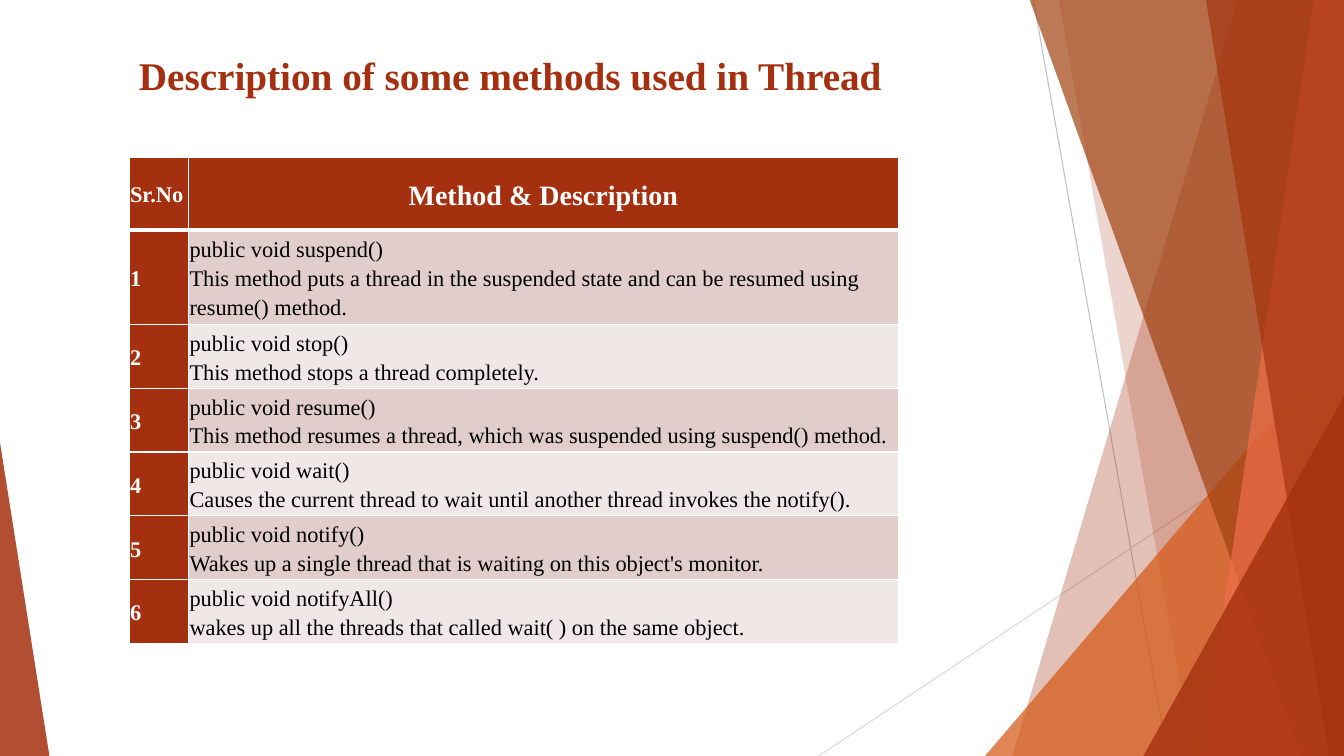
from lxml.etree import SubElement
from pptx import Presentation
from pptx.dml.color import RGBColor
from pptx.enum.shapes import MSO_CONNECTOR, MSO_SHAPE
from pptx.enum.text import MSO_ANCHOR, PP_ALIGN
from pptx.oxml import parse_xml
from pptx.oxml.ns import nsdecls, qn
from pptx.util import Inches, Pt

FONT = "Times New Roman"
COLORS = {
    "red": "A5300F", "brown": "A04210", "orange": "D55816", "coral": "EE6E4A",
    "white": "FFFFFF", "black": "000000", "band_dark": "E1CDCC",
    "band_light": "F0E8E7", "line_dark": "BFBFBF", "line_light": "D9D9D9",
}
TITLE = "Description of some methods used in Thread"
HEADER = ("Sr.No", "Method & Description")
METHODS = [
    ("public void suspend()", "This method puts a thread in the suspended state "
     "and can be resumed using resume() method."),
    ("public void stop()", "This method stops a thread completely."),
    ("public void resume()", "This method resumes a thread, which was suspended "
     "using suspend() method."),
    ("public void wait()", "Causes the current thread to wait until another "
     "thread invokes the notify()."),
    ("public void notify()", "Wakes up a single thread that is waiting on this "
     "object's monitor."),
    ("public void notifyAll()", "wakes up all the threads that called wait( ) on "
     "the same object."),
]
WIDTH, HEIGHT, TOP = 13.33, 7.5, -0.01
TABLE_LEFT, TABLE_TOP = 1.28, 1.56
COLUMN_WIDTHS = (0.59, 7.04)
ROW_HEIGHTS = [0.72, 0.87] + [0.59] * 5

# Lines: start, end, color
LINES = [((10.25, 0), (11.58, HEIGHT), "line_dark"),
         ((WIDTH, 4.03), (8.12, HEIGHT), "line_light")]
# Facets, back to front. A band runs from its top and bottom x to the right edge;
# a triangle has left, top, width, height and the place of its apex.
FACETS = [
    ("band", (12.28, 10.04), "red", 30),
    ("band", (10.5, 11.83), "red", 20),
    ("triangle", (9.77, 3.33, 3.56, 4.17, 1), "orange", 72),
    ("band", (10.21, 12.91), "brown", 70),
    ("band", (13.03, 11.92), "coral", 70),
    ("band", (11.96, 13.18), "red", 65),
    ("triangle", (11.34, 3.93, 1.99, 3.57, 1), "red", 80),
    ("triangle", (0, 4.39, 0.49, 3.11, 0), "red", 85),
]


def rgb(name):
    """Return the named color."""
    return RGBColor.from_string(COLORS[name])


def add_line(shapes, start, end, color):
    """Draw a thin line without a shadow."""
    ends = [Inches(value) for value in (*start, *end)]
    line = shapes.add_connector(MSO_CONNECTOR.STRAIGHT, *ends)
    line.line.color.rgb = rgb(color)
    line.line.width = Pt(0.75)
    SubElement(line._element.spPr, qn("a:effectLst"))


def add_facet(shapes, kind, geometry, color, opacity):
    """Draw a translucent band or triangle."""
    if kind == "band":
        top_x, bottom_x = geometry
        corners = [(Inches(x), Inches(y)) for x, y in (
            (top_x, TOP), (WIDTH, TOP), (WIDTH, HEIGHT), (bottom_x, HEIGHT))]
        builder = shapes.build_freeform(*corners[0])
        builder.add_line_segments(corners[1:], close=True)
        shape = builder.convert_to_shape()
    else:
        *box, apex = geometry
        shape = shapes.add_shape(MSO_SHAPE.ISOSCELES_TRIANGLE,
                                 *[Inches(value) for value in box])
        shape.adjustments[0] = apex
    shape.shadow.inherit = False
    shape.line.fill.background()
    shape.fill.solid()
    shape.fill.fore_color.rgb = rgb(color)
    fill_color = shape._element.spPr.find(qn("a:solidFill"))[0]
    SubElement(fill_color, qn("a:alpha"), val=str(opacity * 1000))


def add_run(paragraph, text, size, color, bold):
    """Add one formatted run."""
    run = paragraph.add_run()
    run.text = text
    run.font.name = FONT
    run.font.size = Pt(size)
    run.font.bold = bold
    run.font.color.rgb = rgb(color)


def add_title(shapes):
    """Add the slide title."""
    box = shapes.add_textbox(Inches(1.28), Inches(0.43), Inches(8.83), Inches(0.62))
    frame = box.text_frame
    frame.word_wrap = True
    frame.vertical_anchor = MSO_ANCHOR.MIDDLE
    add_run(frame.paragraphs[0], TITLE, 28, "red", True)


def set_borders(cell, top, bottom):
    """Give a cell white borders; the widths are in points."""
    widths = {"lnL": 1, "lnR": 1, "lnT": top, "lnB": bottom}
    for index, (side, width) in enumerate(widths.items()):
        cell._tc.get_or_add_tcPr().insert(index, parse_xml(
            f'<a:{side} {nsdecls("a")} w="{Pt(width)}"><a:solidFill>'
            f'<a:srgbClr val="{COLORS["white"]}"/></a:solidFill></a:{side}>'))


def fill_cell(cell, texts, fill, size=16, color="white", bold=True,
              align=PP_ALIGN.LEFT):
    """Fill a cell with one paragraph per text."""
    cell.margin_left = cell.margin_right = Inches(0.01)
    cell.margin_top = cell.margin_bottom = Inches(0.01)
    cell.vertical_anchor = MSO_ANCHOR.MIDDLE
    cell.fill.solid()
    cell.fill.fore_color.rgb = rgb(fill)
    frame = cell.text_frame
    for index, text in enumerate(texts):
        paragraph = frame.add_paragraph() if index else frame.paragraphs[0]
        paragraph.alignment = align
        paragraph.line_spacing = 1.15
        add_run(paragraph, text, size, color, bold)


def add_method_table(shapes):
    """Add the table of thread methods."""
    table = shapes.add_table(
        len(METHODS) + 1, len(HEADER), Inches(TABLE_LEFT), Inches(TABLE_TOP),
        Inches(sum(COLUMN_WIDTHS)), Inches(sum(ROW_HEIGHTS))).table
    for column, width in zip(table.columns, COLUMN_WIDTHS):
        column.width = Inches(width)
    for row, height in zip(table.rows, ROW_HEIGHTS):
        row.height = Inches(height)
    fill_cell(table.cell(0, 0), HEADER[:1], "red")
    fill_cell(table.cell(0, 1), HEADER[1:], "red", size=20, align=PP_ALIGN.CENTER)
    for number, method in enumerate(METHODS, start=1):
        band = "band_dark" if number % 2 else "band_light"
        fill_cell(table.cell(number, 0), [str(number)], "red")
        fill_cell(table.cell(number, 1), method, band, color="black", bold=False)
    for index, row in enumerate(table.rows):
        for cell in row.cells:
            set_borders(cell, top=3 if index == 1 else 1, bottom=3 if index == 0 else 1)


presentation = Presentation()
presentation.slide_width = Inches(WIDTH)
presentation.slide_height = Inches(HEIGHT)
slide = presentation.slides.add_slide(presentation.slide_layouts[6])
for line in LINES:
    add_line(slide.shapes, *line)
for facet in FACETS:
    add_facet(slide.shapes, *facet)
add_title(slide.shapes)
add_method_table(slide.shapes)
presentation.save("out.pptx")
